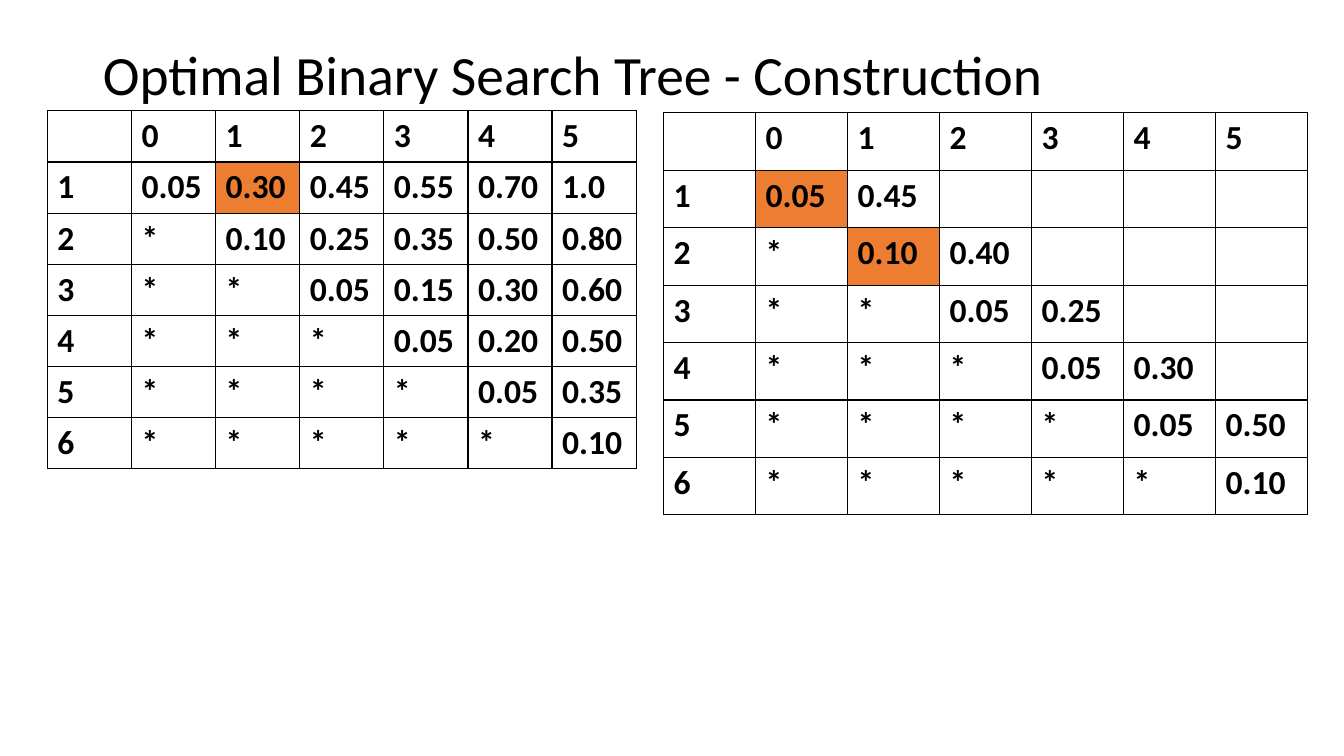
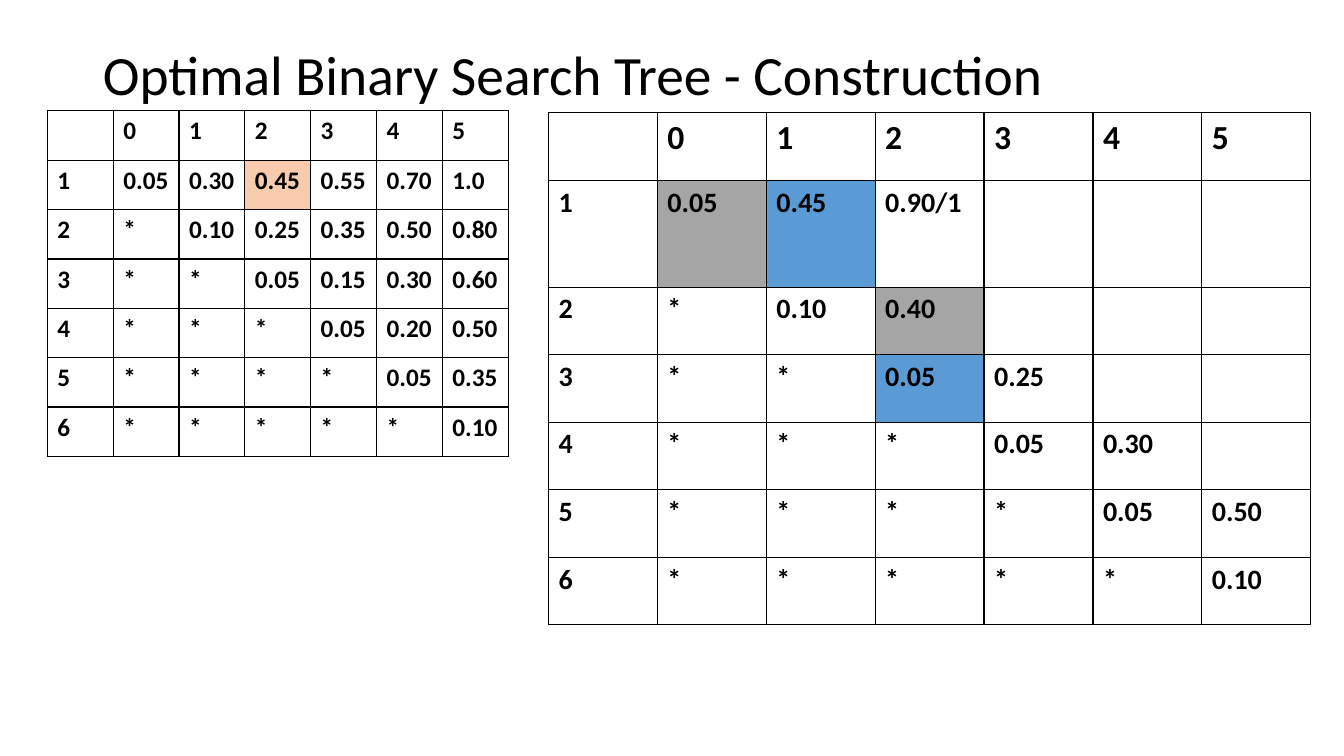
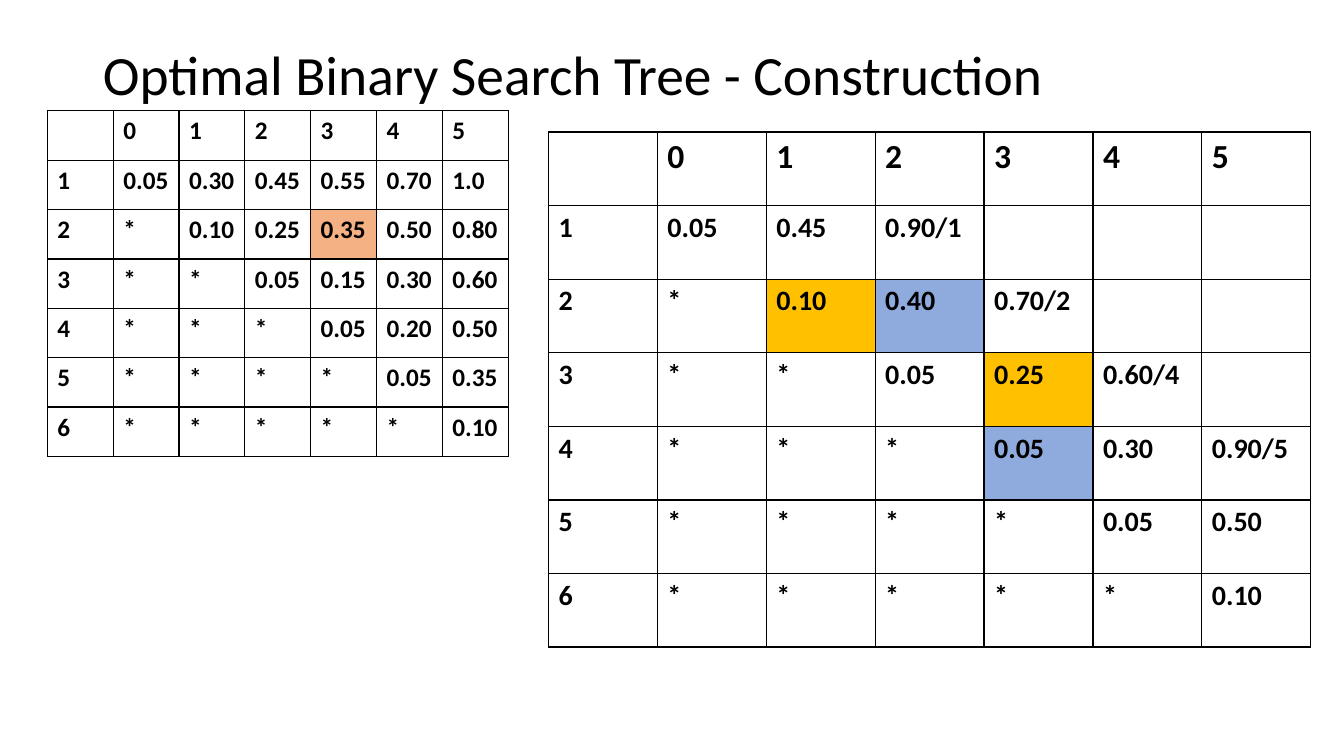
"""Build three slides on constructing an optimal binary search tree."""
from dataclasses import dataclass, field

from pptx import Presentation
from pptx.dml.color import RGBColor
from pptx.enum import text
from pptx.oxml import parse_xml
from pptx.oxml.ns import nsdecls
from pptx.util import Inches, Pt

FONT = "Calibri"
BLACK, WHITE = "000000", "FFFFFF"
ORANGE, PEACH, SALMON = "ED7D31", "F8CBAD", "F4B183"
GREY, BLUE, GOLD, SKY = "A5A5A5", "5B9BD5", "FFC000", "8FAADC"
TITLE = "Optimal Binary Search Tree - Construction"
COUNT = 7

WEIGHTS = [
    "0.05 0.30 0.45 0.55 0.70 1.0",
    "0.10 0.25 0.35 0.50 0.80",
    "0.05 0.15 0.30 0.60",
    "0.05 0.20 0.50",
    "0.05 0.35",
    "0.10",
]
PAIRS = ["0.05 0.45", "0.10 0.40", "0.05 0.25", "0.05 0.30", "0.05 0.50", "0.10"]
FIRST = ["0.05 0.45 0.90/1", *PAIRS[1:]]
TRIPLES = ["0.05 0.45 0.90/1", "0.10 0.40 0.70/2", "0.05 0.25 0.60/4",
           "0.05 0.30 0.90/5", *PAIRS[4:]]


@dataclass
class Grid:
    """A triangular table whose marks map (row, column) to a fill."""

    left: float
    top: float
    width: float
    row: float
    costs: list[str]
    marks: dict[tuple[int, int], str]
    head: float = 24
    size: float = 24
    tall: dict[int, float] = field(default_factory=dict)


def colour(code: str) -> RGBColor:
    """Turn a hex string into a colour."""
    return RGBColor.from_string(code)


def style(para, size: float, bold: bool = False) -> None:
    """Set the shared font on a paragraph."""
    font = para.font
    font.name, font.size, font.bold = FONT, Pt(size), bold
    font.color.rgb = colour(BLACK)


def add_title(slide) -> None:
    """Place and format the slide title."""
    title = slide.shapes.title
    title.left, title.top = Inches(0.92), Inches(0.4)
    title.width, title.height = Inches(11.5), Inches(0.73)
    frame = title.text_frame
    frame.text = TITLE
    frame.auto_size = text.MSO_AUTO_SIZE.NONE
    frame.vertical_anchor = text.MSO_ANCHOR.MIDDLE
    para = frame.paragraphs[0]
    para.alignment, para.line_spacing = text.PP_ALIGN.LEFT, 0.9
    style(para, 39.6)


def fill_out(costs: list[str]) -> list[list[str]]:
    """Add headings, stars below the diagonal and blanks at the right."""
    rows = [["", *map(str, range(COUNT - 1))]]
    for index, line in enumerate(costs):
        cells = [str(index + 1), *["*"] * index, *line.split()]
        rows.append(cells + [""] * (COUNT - len(cells)))
    return rows


def add_border(cell) -> None:
    """Draw a thin black line on each side of a cell."""
    props = cell._tc.get_or_add_tcPr()
    for side in "LRTB":
        props.append(parse_xml(
            f'<a:ln{side} {nsdecls("a")} w="12700"><a:solidFill>'
            f'<a:srgbClr val="{BLACK}"/></a:solidFill></a:ln{side}>'))


def add_grid(slide, grid: Grid) -> None:
    """Draw a cost table."""
    highs = [grid.tall.get(y, grid.row) for y in range(COUNT)]
    table = slide.shapes.add_table(
        COUNT, COUNT, Inches(grid.left), Inches(grid.top),
        Inches(grid.width), Inches(sum(highs))).table
    table.first_row = table.horz_banding = False
    for column in table.columns:
        column.width = Inches(grid.width / COUNT)
    for y, values in enumerate(fill_out(grid.costs)):
        table.rows[y].height = Inches(highs[y])
        for x, value in enumerate(values):
            cell = table.cell(y, x)
            cell.text = value
            style(cell.text_frame.paragraphs[0], grid.size if y else grid.head, True)
            add_border(cell)
            cell.fill.solid()
            cell.fill.fore_color.rgb = colour(grid.marks.get((y, x), WHITE))


def small(marks: dict[tuple[int, int], str]) -> Grid:
    """Describe the compact weight table."""
    return Grid(0.47, 1.1, 4.57, 0.49, WEIGHTS, marks, 18, 18)


SLIDES = [
    [Grid(0.47, 1.1, 5.84, 0.5, WEIGHTS, {(1, 2): ORANGE}),
     Grid(6.58, 1.12, 6.39, 0.57, PAIRS, {(1, 1): ORANGE, (2, 2): ORANGE})],
    [small({(1, 3): PEACH}),
     Grid(5.44, 1.12, 7.56, 0.67, FIRST,
          {(1, 1): GREY, (2, 3): GREY, (1, 2): BLUE, (3, 3): BLUE},
          size=20, tall={1: 1.06})],
    [small({(2, 4): SALMON}),
     Grid(5.44, 1.31, 7.56, 0.73, TRIPLES,
          {(2, 2): GOLD, (3, 4): GOLD, (2, 3): SKY, (4, 4): SKY}, size=20)],
]


def main() -> None:
    """Build and save the deck."""
    deck = Presentation()
    deck.slide_width, deck.slide_height = Inches(13.33), Inches(7.5)
    for grids in SLIDES:
        slide = deck.slides.add_slide(deck.slide_layouts[5])
        add_title(slide)
        for grid in grids:
            add_grid(slide, grid)
    deck.save("out.pptx")


main()
